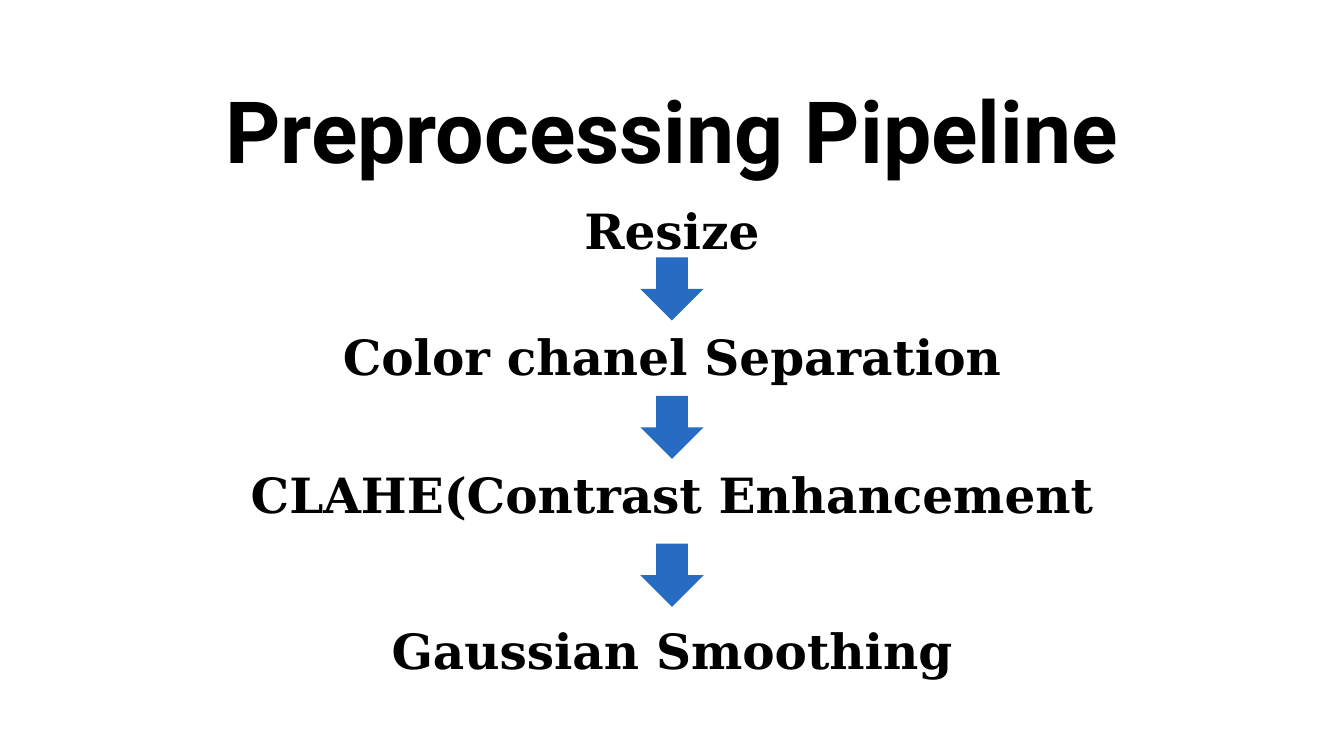
from dataclasses import dataclass

from pptx import Presentation
from pptx.dml.color import RGBColor
from pptx.enum.shapes import MSO_SHAPE as Shape
from pptx.enum.text import MSO_ANCHOR as Anchor, PP_ALIGN as Align
from pptx.slide import Slide
from pptx.util import Inches, Pt

PAGE_WIDTH = 20
PAGE_HEIGHT = 11.25


@dataclass(frozen=True)
class Theme:
    ink: RGBColor = RGBColor(0, 0, 0)
    paper: RGBColor = RGBColor(255, 255, 255)
    arrow: RGBColor = RGBColor(0x28, 0x6B, 0xC2)
    title_font: str = "Roboto"
    step_font: str = "DejaVu Serif"
    title_size: float = 92
    step_size: float = 52
    leading: float = 1.4
    title_height: float = 1.75
    step_height: float = 0.99
    arrow_side: float = 0.94


@dataclass(frozen=True)
class Step:
    label: str
    top: float
    width: float
    arrow_top: float | None = None


THEME = Theme()
TITLE = Step("Preprocessing Pipeline", 0.9, 14.13)
STEPS = (
    Step("Resize", 2.84, 2.61, 3.83),
    Step("Color chanel Separation", 4.72, 10.79, 5.89),
    Step("CLAHE(Contrast Enhancement", 6.78, 12.55, 8.09),
    Step("Gaussian Smoothing", 9.09, 8.35),
)


def centred(width: float) -> Inches:
    return Inches((PAGE_WIDTH - width) / 2)


def add_label(page: Slide, text: str, *, top: float, width: float,
              height: float, font: str, size: float) -> None:
    box = page.shapes.add_textbox(
        centred(width), Inches(top), Inches(width), Inches(height))
    frame = box.text_frame
    frame.word_wrap = True
    frame.vertical_anchor = Anchor.TOP
    frame.margin_left = frame.margin_right = 0
    frame.margin_top = frame.margin_bottom = 0
    para = frame.paragraphs[0]
    para.alignment = Align.CENTER
    para.line_spacing = Pt(size * THEME.leading)
    span = para.add_run()
    span.text = text
    span.font.name = font
    span.font.size = Pt(size)
    span.font.bold = True
    span.font.color.rgb = THEME.ink


def add_arrow(page: Slide, top: float) -> None:
    side = Inches(THEME.arrow_side)
    arrow = page.shapes.add_shape(
        Shape.DOWN_ARROW, centred(THEME.arrow_side), Inches(top), side, side)
    arrow.shadow.inherit = False
    arrow.fill.solid()
    arrow.fill.fore_color.rgb = THEME.arrow
    arrow.line.fill.background()


def add_step(page: Slide, step: Step) -> None:
    add_label(page, step.label, top=step.top, width=step.width,
              height=THEME.step_height, font=THEME.step_font,
              size=THEME.step_size)
    if step.arrow_top is not None:
        add_arrow(page, step.arrow_top)


def main() -> None:
    deck = Presentation()
    deck.slide_width = Inches(PAGE_WIDTH)
    deck.slide_height = Inches(PAGE_HEIGHT)
    page = deck.slides.add_slide(deck.slide_layouts[6])
    page.background.fill.solid()
    page.background.fill.fore_color.rgb = THEME.paper
    add_label(page, TITLE.label, top=TITLE.top, width=TITLE.width,
              height=THEME.title_height, font=THEME.title_font,
              size=THEME.title_size)
    for step in STEPS:
        add_step(page, step)
    deck.save("out.pptx")


if __name__ == "__main__":
    main()
